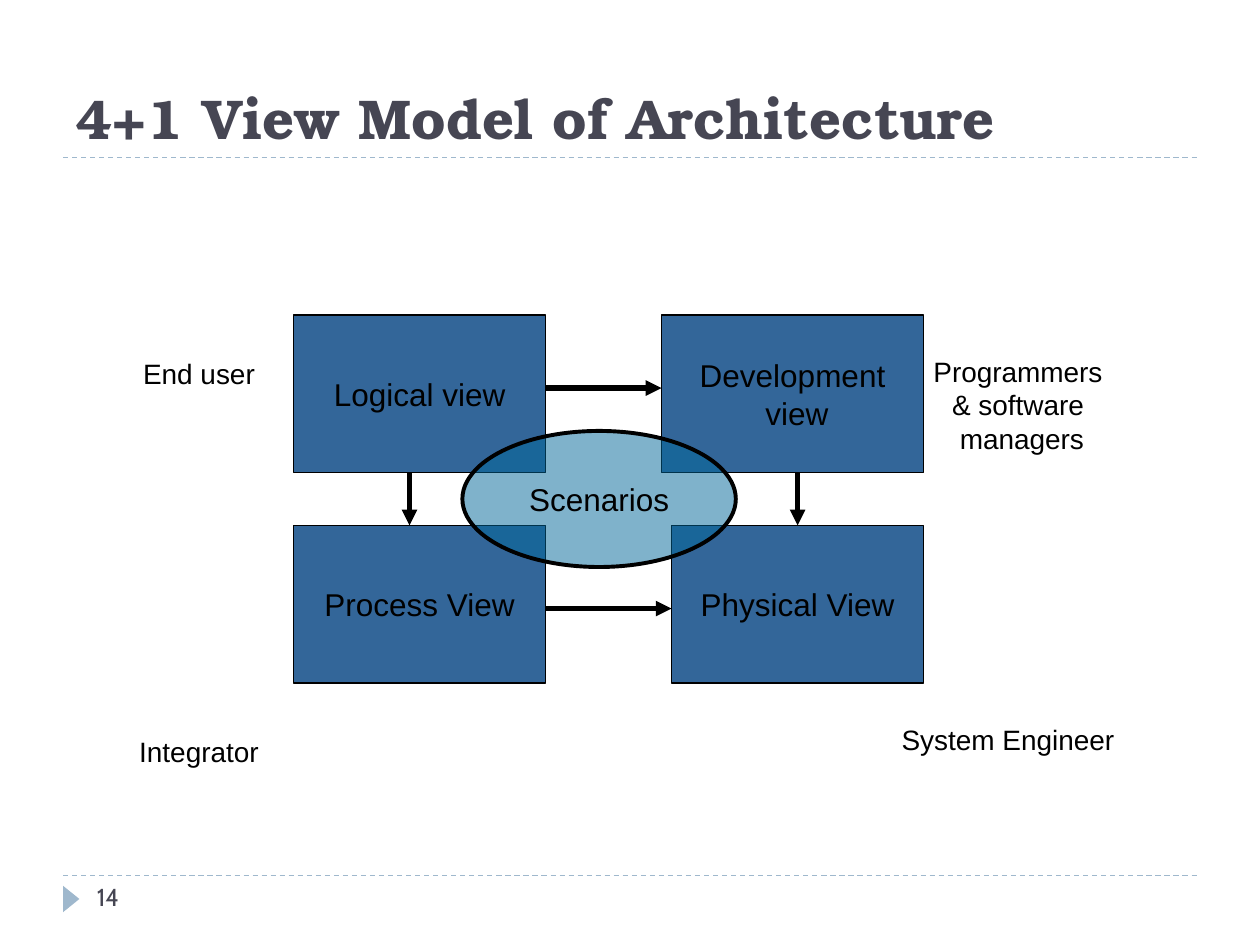
import pptx
import pptx.util
import pptx.dml.color
import pptx.enum.dml
import pptx.enum.shapes
import pptx.enum.text
import pptx.oxml.ns
import lxml.etree

Inches = pptx.util.Inches
Pt = pptx.util.Pt
Rgb = pptx.dml.color.RGBColor.from_string
qn = pptx.oxml.ns.qn
Kind = pptx.enum.shapes.MSO_SHAPE
Anchor = pptx.enum.text.MSO_ANCHOR
Align = pptx.enum.text.PP_ALIGN

theme = {
    "ink": "000000", "title": "464653", "accent": "9FB8CD",
    "view": "336699", "oval": "006699",
    "head": 32, "label": 18, "role": 16, "page": 14,
    "body": "Arial", "serif": "TeX Gyre Bonum", "sans": "Cabin",
}


def write(shape, text, size="label", font="body", color="ink", bold=False,
          align=Align.CENTER, anchor=Anchor.MIDDLE, wrap=False, inset=0.1):
    frame = shape.text_frame
    frame.text = text
    frame.word_wrap = wrap
    frame.vertical_anchor = anchor
    frame.margin_left = frame.margin_right = Inches(inset)
    for para in frame.paragraphs:
        para.alignment = align
        for run in para.runs:
            run.font.size = Pt(theme[size])
            run.font.name = theme[font]
            run.font.bold = bold
            run.font.color.rgb = Rgb(theme[color])


def draw(x1, y1, x2, y2, color="ink", width=3, arrow=True):
    line = slide.shapes.add_connector(
        pptx.enum.shapes.MSO_CONNECTOR.STRAIGHT,
        Inches(x1), Inches(y1), Inches(x2), Inches(y2))
    line.line.color.rgb = Rgb(theme[color])
    line.line.width = Pt(width)
    if arrow:
        tail = lxml.etree.SubElement(line.line._get_or_add_ln(), qn("a:tailEnd"))
        tail.set("type", "triangle")
    else:
        line.line.dash_style = pptx.enum.dml.MSO_LINE.DASH
    lxml.etree.SubElement(line._element.spPr, qn("a:effectLst"))


deck = pptx.Presentation()
deck.slide_width, deck.slide_height = Inches(10), Inches(7.5)
slide = deck.slides.add_slide(deck.slide_layouts[5])
shapes = slide.shapes

# Rules and page marker
for y in (6.95, 1.25):
    draw(0.5, y, 9.5, y, color="accent", width=0.75, arrow=False)
mark = shapes.add_shape(Kind.ISOSCELES_TRIANGLE, Inches(0.46), Inches(7.07),
                        Inches(0.21), Inches(0.13))
mark.rotation = 90
mark.shadow.inherit = False
mark.fill.solid()
mark.fill.fore_color.rgb = Rgb(theme["accent"])
mark.line.fill.background()

# Title and page number
title = shapes.title
title.left, title.top = Inches(0.5), Inches(0.25)
title.width, title.height = Inches(9), Inches(1)
write(title, "4+1 View Model of Architecture", size="head", font="serif",
      color="title", bold=True, align=Align.LEFT, anchor=Anchor.BOTTOM, wrap=True)
page = shapes.add_textbox(Inches(0.67), Inches(6.95), Inches(2.17), Inches(0.4))
write(page, "14", size="page", font="sans", color="title",
      align=Align.LEFT, anchor=Anchor.TOP, wrap=True)

# Roles around the views, each box wide enough for its longest line
roles = [
    ("End user", 0.83, 2.42, 1.5),
    ("System Engineer", 7.1, 5.33, 1.8),
    ("Integrator", 0.83, 5.42, 1.5),
    ("Programmers\n& software\v managers", 7.33, 2.67, 1.5),
]
for text, x, y, w in roles:
    role = shapes.add_textbox(Inches(x), Inches(y), Inches(w), Inches(1.08))
    write(role, text, size="role", wrap=True, inset=0)

# Four views, with the scenarios on top
rect, oval = Kind.RECTANGLE, Kind.OVAL
views = [
    ("Logical view", rect, 2.33, 2.5, 2, 1.25, "view", 0.75),
    ("Physical View", rect, 5.33, 4.17, 2, 1.25, "view", 0.75),
    ("Process View", rect, 2.33, 4.17, 2, 1.25, "view", 0.75),
    ("Development\v view", rect, 5.25, 2.5, 2.08, 1.25, "view", 0.75),
    ("Scenarios", oval, 3.67, 3.42, 2.17, 1.08, "oval", 2.25),
]
for text, kind, x, y, w, h, fill, edge in views:
    view = shapes.add_shape(kind, Inches(x), Inches(y), Inches(w), Inches(h))
    view.shadow.inherit = False
    view.fill.solid()
    view.fill.fore_color.rgb = Rgb(theme[fill])
    view.line.color.rgb = Rgb(theme["ink"])
    view.line.width = Pt(edge)
    write(view, text)
    if kind == oval:
        tint = view._element.spPr.find(qn("a:solidFill")).find(qn("a:srgbClr"))
        lxml.etree.SubElement(tint, qn("a:alpha")).set("val", "50000")

# Arrows between the views
for x in (3.25, 6.33):
    draw(x, 3.75, x, 4.17)
for y, end in ((3.08, 5.25), (4.83, 5.33)):
    draw(4.33, y, end, y)

deck.save("out.pptx")
